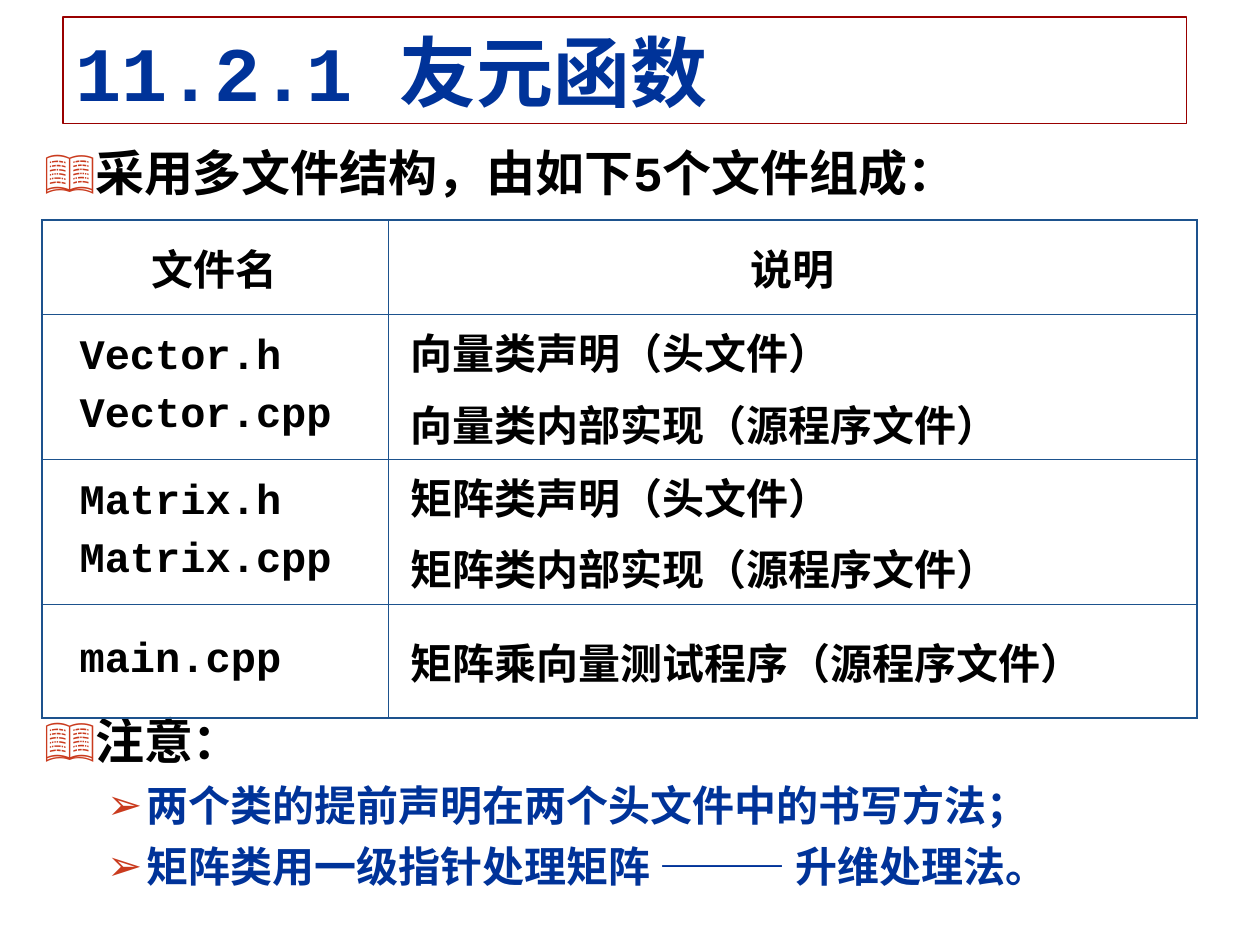
from lxml.etree import SubElement
from pptx import Presentation
from pptx.dml.color import RGBColor
from pptx.enum.text import MSO_ANCHOR, MSO_AUTO_SIZE, PP_ALIGN
from pptx.oxml import parse_xml
from pptx.oxml.ns import nsdecls, qn
from pptx.util import Cm, Pt


def rgb(value):
    return RGBColor.from_string(value)


def write(p, text, size, color, **spacing):
    for key, value in spacing.items():
        setattr(p, key, value)
    r = p.add_run()
    r.text = text
    for key, value in {"name": "Courier New", "size": Pt(size), "bold": True}.items():
        setattr(r.font, key, value)
    r.font.color.rgb = rgb(color)


BLACK, BLUE, RED, MAROON, BORDER = "000000", "003399", "CA3B1E", "990000", "1D528D"

prs = Presentation()
prs.slide_width, prs.slide_height = Cm(25.4), Cm(19.05)
s = prs.slides.add_slide(prs.slide_layouts[1])
title, body = s.placeholders

boxes = [
    (title, (1.27, 0.35, 22.65, 2.14), MSO_ANCHOR.MIDDLE),
    (body, (0.84, 2.74, 23.93, 15.88), MSO_ANCHOR.TOP),
]
for sp, box, anchor in boxes:
    for key, value in zip(("left", "top", "width", "height"), box):
        setattr(sp, key, Cm(value))
    tf = sp.text_frame
    form = {"auto_size": MSO_AUTO_SIZE.NONE, "word_wrap": True, "vertical_anchor": anchor}
    for key, value in form.items():
        setattr(tf, key, value)

title.line.color.rgb = rgb(MAROON)
title.line.width = Pt(1)
write(title.text_frame.paragraphs[0], "11.2.1 友元函数", 44, BLUE, alignment=PP_ALIGN.LEFT)

tf = body.text_frame
tf.margin_left = Cm(0.05)
levels = [
    {"bullet": "📖", "left": 0.97, "hang": 0.97, "size": 28, "color": BLACK},
    {"bullet": "➢", "left": 2.06, "hang": 0.79, "size": 24, "color": BLUE},
]
items = [
    (0, 0, "采用多文件结构，由如下5个文件组成："),
    (0, 291, "注意："),
    (1, 6, "两个类的提前声明在两个头文件中的书写方法；"),
    (1, 6, "矩阵类用一级指针处理矩阵 ——— 升维处理法。"),
]
for i, (level, before, text) in enumerate(items):
    p = tf.add_paragraph() if i else tf.paragraphs[0]
    form = levels[level]
    pPr = p._p.get_or_add_pPr()
    pPr.set("marL", str(Cm(form["left"])))
    pPr.set("indent", str(-Cm(form["hang"])))
    SubElement(SubElement(pPr, qn("a:buClr")), qn("a:srgbClr")).set("val", RED)
    SubElement(pPr, qn("a:buChar")).set("char", form["bullet"])
    write(p, text, form["size"], form["color"], level=level,
          line_spacing=1.0, space_before=Pt(before))

rows = [
    (1.9, ["文件名"], ["说明"]),
    (2.92, ["Vector.h", "Vector.cpp"], ["向量类声明（头文件）", "向量类内部实现（源程序文件）"]),
    (2.92, ["Matrix.h", "Matrix.cpp"], ["矩阵类声明（头文件）", "矩阵类内部实现（源程序文件）"]),
    (2.29, ["main.cpp"], ["矩阵乘向量测试程序（源程序文件）"]),
]
widths = [6.98, 16.31]
indents = [0.51, 0.21]
height = sum(row[0] for row in rows)
table = s.shapes.add_table(len(rows), len(widths), Cm(0.84), Cm(4.44),
                           Cm(sum(widths)), Cm(height)).table
table.first_row = table.horz_banding = False
for column, width in zip(table.columns, widths):
    column.width = Cm(width)

for i, (row_height, *cells) in enumerate(rows):
    table.rows[i].height = Cm(row_height)
    for j, lines in enumerate(cells):
        cell = table.cell(i, j)
        cell.vertical_anchor = MSO_ANCHOR.MIDDLE
        cell.fill.background()
        outer = {"L": j == 0, "R": j == len(widths) - 1, "T": i == 0, "B": i == len(rows) - 1}
        tcPr = cell._tc.get_or_add_tcPr()
        for k, (side, is_outer) in enumerate(outer.items()):
            width = Pt(1.08 if is_outer else 0.45)
            tcPr.insert(k, parse_xml(
                f'<a:ln{side} {nsdecls("a")} w="{width}"><a:solidFill>'
                f'<a:srgbClr val="{BORDER}"/></a:solidFill></a:ln{side}>'))
        for n, text in enumerate(lines):
            p = cell.text_frame.add_paragraph() if n else cell.text_frame.paragraphs[0]
            if i:
                p._p.get_or_add_pPr().set("marL", str(Cm(indents[j])))
            write(p, text, 24, BLACK, space_before=Pt(6 if n else 0),
                  alignment=PP_ALIGN.LEFT if i else PP_ALIGN.CENTER)

prs.save("out.pptx")
